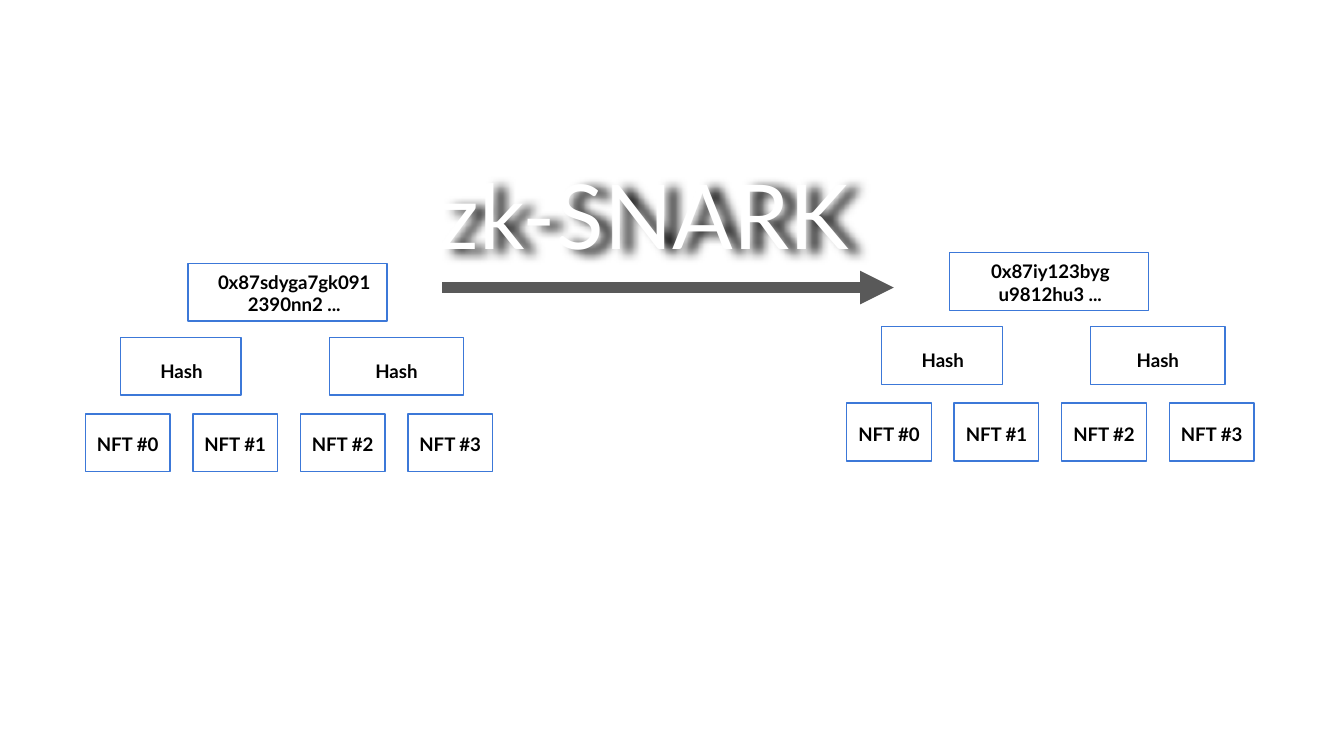
from pptx import Presentation
from pptx.dml.color import RGBColor
from pptx.enum.shapes import MSO_CONNECTOR, MSO_SHAPE
from pptx.enum.text import MSO_ANCHOR, PP_ALIGN
from pptx.oxml import parse_xml
from pptx.oxml.ns import nsdecls
from pptx.util import Pt

SCALE = 4572
BLACK = RGBColor(0, 0, 0)
WHITE = RGBColor(255, 255, 255)
BLUE = RGBColor(0x3C, 0x78, 0xD8)
GRAY = RGBColor(0x59, 0x59, 0x59)


def px(*sizes):
    return [size * SCALE for size in sizes]


def node(tag, attrs="", inner=""):
    return parse_xml(f"<a:{tag} {nsdecls('a')} {attrs}>{inner}</a:{tag}>")


class Board:
    font = "Lato"

    def __init__(self, slide):
        self.slide = slide

    def box(self, left, top, width, height=86, alpha=82):
        shape = self.slide.shapes.add_shape(
            MSO_SHAPE.RECTANGLE, *px(left, top, width, height))
        shape.shadow.inherit = False
        shape.fill.solid()
        shape.fill.fore_color.rgb = WHITE
        color = shape.fill._xPr.solidFill[0]
        color.append(node("alpha", f'val="{alpha * 1000}"'))
        shape.line.color.rgb = BLUE
        shape.line.width = Pt(0.75)

    def text(self, words, left, top, width=226, height=80,
             size=10, color=BLACK, bold=True):
        shape = self.slide.shapes.add_textbox(*px(left, top, width, height))
        frame = shape.text_frame
        frame.word_wrap = True
        frame.vertical_anchor = MSO_ANCHOR.TOP
        (frame.margin_left, frame.margin_top,
         frame.margin_right, frame.margin_bottom) = px(20, 20, 20, 20)
        frame.text = words
        line = frame.paragraphs[0]
        line.alignment = PP_ALIGN.CENTER
        font = line.runs[0].font
        font.name = self.font
        font.size = Pt(size)
        font.bold = bold
        font.color.rgb = color
        return shape

    def title(self, words, left, top, width, height):
        shape = self.text(words, left, top, width, height, 48, WHITE, False)
        shade = ('<a:outerShdw blurRad="76200" dist="76200" dir="600000" '
                 'algn="bl" rotWithShape="0"><a:srgbClr val="000000"/>'
                 '</a:outerShdw>')
        shape._element.spPr.append(node("effectLst", "", shade))

    def arrow(self, left, top, right, bottom):
        line = self.slide.shapes.add_connector(
            MSO_CONNECTOR.STRAIGHT, *px(left, top, right, bottom))
        line.line.color.rgb = GRAY
        line.line.width = Pt(6)
        line.line._get_or_add_ln().append(node("tailEnd", 'type="triangle"'))
        line._element.spPr.append(node("effectLst"))

    def tree(self, left, top, root, shift, width):
        for i in range(4):
            self.box(left + 160 * i, top + 224, 126)
        self.box(left + 52, top + 110, 180)
        self.box(left + 363, top + 110, 200)
        self.box(left + 153, top, 296, alpha=72)
        self.text(root, left + shift, top - 9, width)
        for i in range(2):
            self.text("Hash", left + 30 + 320 * i, top + 126)
        for i in range(4):
            self.text(f"NFT #{i}", left - 50 + 160 * i, top + 236)


def main():
    deck = Presentation()
    deck.slide_width, deck.slide_height = px(2000, 1125)
    board = Board(deck.slides.add_slide(deck.slide_layouts[6]))
    board.tree(127, 392, "0x87sdyga7gk0912390nn2 ...", 175, 272)
    board.arrow(658, 428, 1330, 428)
    board.tree(1260, 376, "0x87iy123bygu9812hu3 ...", 190, 226)
    board.title("zk-SNARK", 26, 218, 1864, 174)
    deck.save("out.pptx")


if __name__ == "__main__":
    main()
